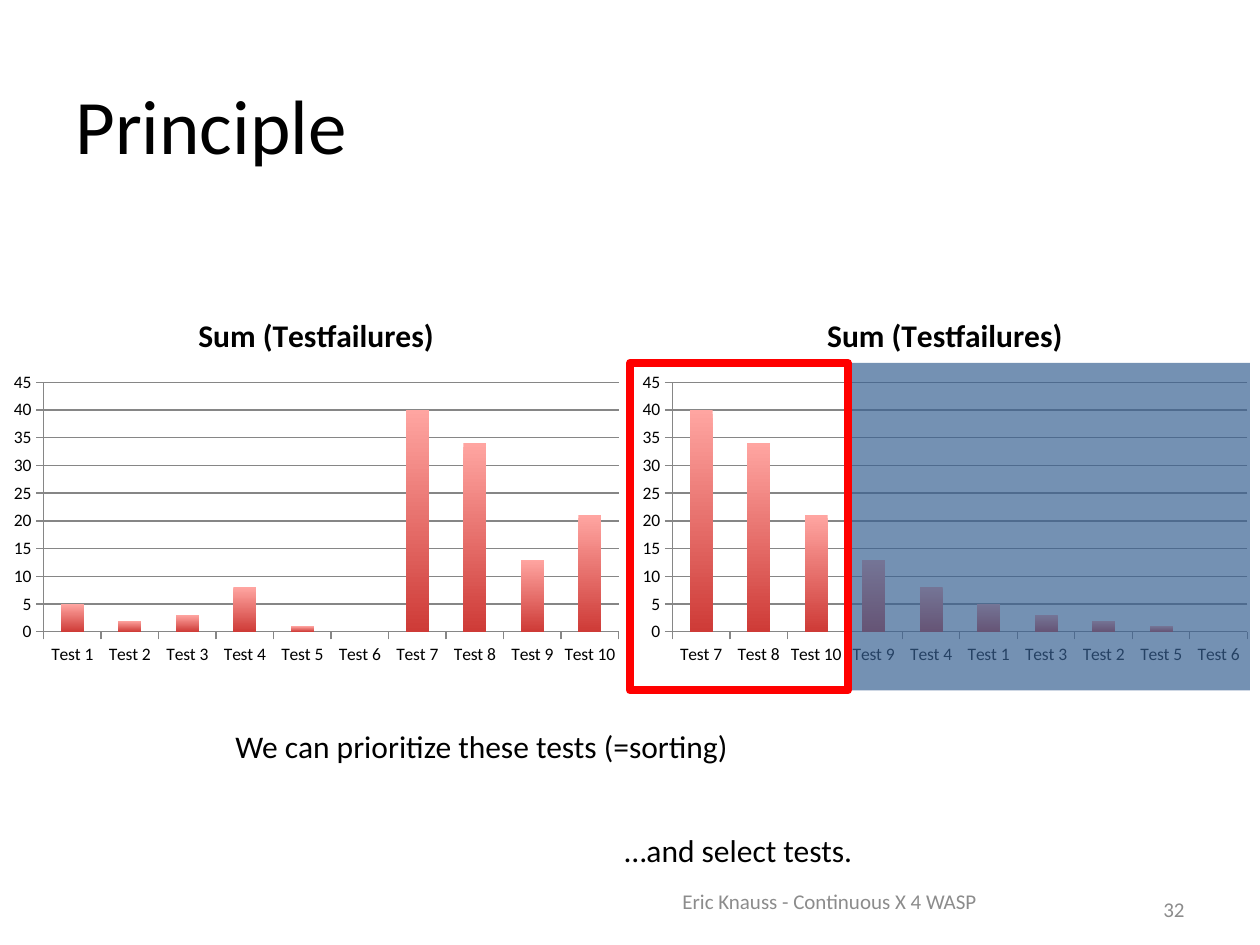
import pptx
import pptx.chart.data
import pptx.dml.color
import pptx.enum.chart
import pptx.enum.shapes
import pptx.enum.text
import pptx.util
from lxml import etree

Inches, Pt = pptx.util.Inches, pptx.util.Pt
ALIGN = pptx.enum.text.PP_ALIGN
ANCHOR = pptx.enum.text.MSO_ANCHOR

# Content
COLORS = {"text": "000000", "muted": "8C8C8C", "grid": "868686",
          "bar_top": "FFA5A1", "bar_bottom": "CE3B37",
          "veil": "376092", "frame": "FF0000"}
FONT = "Calibri"
SERIES = "Sum (Testfailures)"
FAILURES = [("Test 1", 5), ("Test 2", 2), ("Test 3", 3), ("Test 4", 8),
            ("Test 5", 1), ("Test 6", 0), ("Test 7", 40), ("Test 8", 34),
            ("Test 9", 13), ("Test 10", 21)]
PRIORITIZED = sorted(FAILURES, key=lambda test: test[1], reverse=True)

# text, (left, top, width, height), size, colour, alignment, anchor, wrap
TEXTS = [
    ("Principle", (0.5, 0.51, 9, 0.94), 44, "text", ALIGN.LEFT, ANCHOR.MIDDLE, True),
    ("We can prioritize these tests (=sorting)", (1.77, 5.72, 5.4, 0.5), 18, "text",
     ALIGN.LEFT, ANCHOR.TOP, False),
    ("…and select tests.", (4.86, 6.55, 2.64, 0.5), 18, "text",
     ALIGN.LEFT, ANCHOR.TOP, False),
    ("Eric Knauss - Continuous X 4 WASP", (5, 6.95, 3.17, 0.4), 12, "muted",
     ALIGN.CENTER, ANCHOR.MIDDLE, True),
    ("32", (8.35, 7.09, 1.15, 0.25), 12, "muted", ALIGN.RIGHT, ANCHOR.MIDDLE, True),
]


def rgb(name):
    return pptx.dml.color.RGBColor.from_string(COLORS[name])


def box(values):
    return [Inches(v) for v in values]


def set_font(font, size, color="text", bold=False):
    font.name, font.size, font.bold = FONT, Pt(size), bold
    font.color.rgb = rgb(color)


def add_text(s, text, place, size, color, align, anchor, wrap):
    tf = s.shapes.add_textbox(*box(place)).text_frame
    tf.word_wrap = wrap
    tf.vertical_anchor = anchor
    p = tf.paragraphs[0]
    p.text = text
    p.alignment = align
    set_font(p.font, size, color)


def add_failure_chart(s, tests, left):
    data = pptx.chart.data.CategoryChartData()
    data.categories = [name for name, _ in tests]
    data.add_series(SERIES, [count for _, count in tests])
    chart = s.shapes.add_chart(pptx.enum.chart.XL_CHART_TYPE.COLUMN_CLUSTERED,
                               *box((left, 2.33, 5, 3)), data).chart
    set_font(chart.font, 10)
    chart.has_legend = False
    chart.has_title = True
    p = chart.chart_title.text_frame.paragraphs[0]
    p.text = SERIES
    set_font(p.font, 18, bold=True)
    chart.chart_title.include_in_layout = False

    # Axes
    value_axis = chart.value_axis
    value_axis.minimum_scale, value_axis.maximum_scale = 0, 45
    value_axis.major_unit = 5
    value_axis.has_major_gridlines = True
    for axis in (chart.category_axis, value_axis):
        axis.major_tick_mark = pptx.enum.chart.XL_TICK_MARK.OUTSIDE
    for part in (chart.category_axis, value_axis, value_axis.major_gridlines):
        part.format.line.color.rgb = rgb("grid")
        part.format.line.width = Pt(0.75)

    # Bars
    plot = chart.plots[0]
    plot.gap_width = 150
    plot.vary_by_categories = False
    bars = plot.series[0]
    bars.invert_if_negative = False
    fill = bars.format.fill
    fill.gradient()
    fill.gradient_angle = 270
    for stop, color in zip(fill.gradient_stops, ("bar_top", "bar_bottom")):
        stop.color.rgb = rgb(color)


def add_rectangle(s, place):
    sp = s.shapes.add_shape(pptx.enum.shapes.MSO_SHAPE.RECTANGLE, *box(place))
    sp.shadow.inherit = False
    return sp


prs = pptx.Presentation()
prs.slide_width, prs.slide_height = Inches(10), Inches(7.5)
s = prs.slides.add_slide(prs.slide_layouts[6])

# Charts: original order, then sorted by failures
add_failure_chart(s, FAILURES, 0.01)
add_failure_chart(s, PRIORITIZED, 5)

# Title, notes on the charts and footer
for item in TEXTS:
    add_text(s, *item)

# Veil over the tests left out
veil = add_rectangle(s, (6.73, 2.88, 3.19, 2.6))
veil.fill.solid()
veil.fill.fore_color.rgb = rgb("veil")
veil.line.fill.background()
color = veil.fill._xPr.find(".//" + pptx.oxml.ns.qn("a:srgbClr"))
etree.SubElement(color, pptx.oxml.ns.qn("a:alpha"), val="69000")

# Frame around the selected tests
frame = add_rectangle(s, (5, 2.88, 1.73, 2.6))
frame.fill.background()
frame.line.color.rgb = rgb("frame")
frame.line.width = Pt(4.5)

prs.save("out.pptx")
